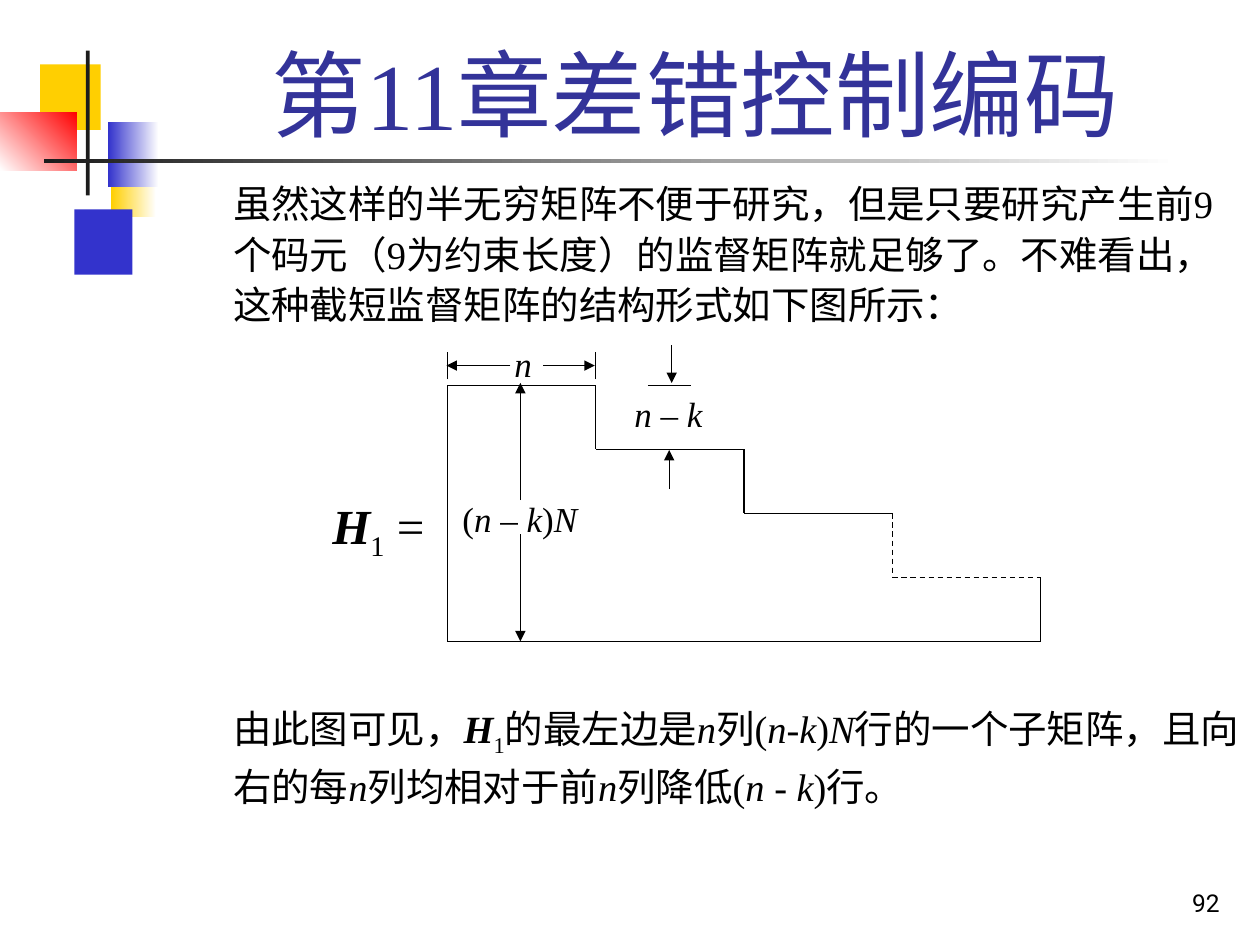
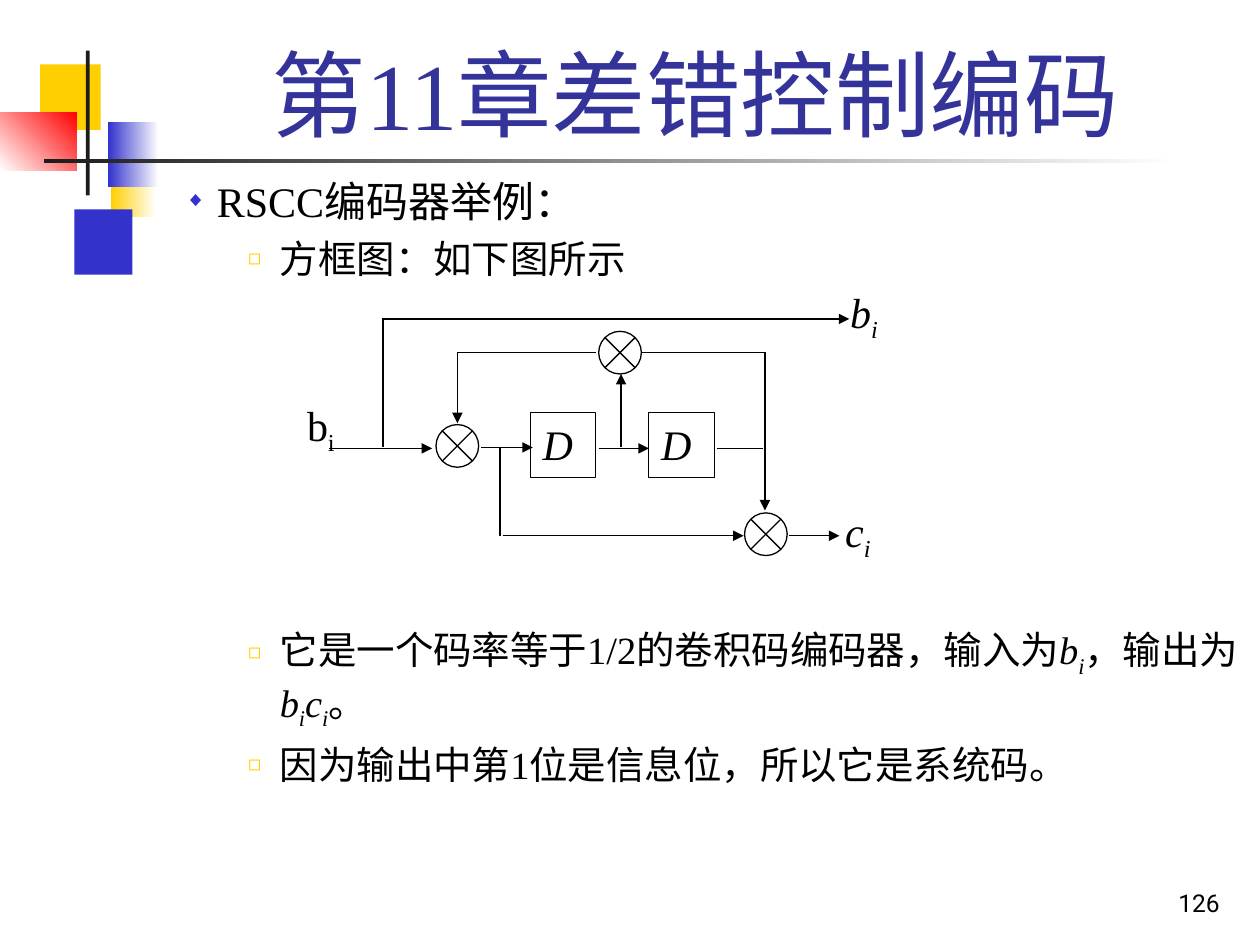
from dataclasses import dataclass

from lxml import etree
from pptx import Presentation
from pptx import util as u
from pptx.dml.color import RGBColor
from pptx.enum import dml, shapes, text
from pptx.oxml import ns


@dataclass(frozen=True)
class Theme:
    serif: str = "Times New Roman"
    sans: str = "Roboto"
    ink: str = "000000"
    white: str = "FFFFFF"
    title: str = "333399"
    blue: str = "3333CC"
    gold: str = "FFCF01"
    red: str = "FF0000"
    dark: str = "1C1C1C"
    title_size: int = 54
    formula_size: int = 28
    head_size: int = 24
    body_size: int = 22
    label_size: int = 20
    number_size: int = 14
    line_width: float = 0.75


THEME = Theme()
TITLE = "第11章差错控制编码"
TITLE_FRAME = (3.2, 0.58, 21.64, 2.57)
NUMBER_FRAME = (19.56, 17.35, 5.28, 1.27)

DECORATION = [
    ((2.24, 3.05, 0.91, 1.32), (THEME.white, THEME.gold, 180)),
    ((1.5, 4.22, 1.17, 1.32), THEME.blue),
    ((0.81, 1.3, 1.22, 1.32), THEME.gold),
    ((2.18, 2.46, 1.02, 1.32), (THEME.white, THEME.blue, 180)),
    ((0, 2.26, 1.55, 1.17), (THEME.red, THEME.white, 225)),
    ((1.73, 1.02, 0.08, 2.92), THEME.dark),
    ((0.89, 3.2, 22.86, 0.08), (THEME.white, THEME.dark, 180)),
]

LEVELS = {
    "plain": dict(level=2, margin=4.45, hang=0, size=THEME.body_size, spacing=1.1),
    "head": dict(level=1, margin=3.18, hang=0.64, size=THEME.head_size, spacing=1,
                 bullet=("◆", THEME.blue, 50)),
    "item": dict(level=2, margin=4.45, hang=0.64, size=THEME.body_size, spacing=1,
                 bullet=("◻", THEME.gold, 55)),
}

MATRIX_BODY = [
    ("plain", 0, [("虽然这样的半无穷矩阵不便于研究，但是只要研究产生前9个码元（9为约束长度）的监督矩阵"
                   "就足够了。不难看出，这种截短监督矩阵的结构形式如下图所示：", "")]),
    ("plain", 213, [("由此图可见，", ""), ("H", "bi"), ("1", "s"), ("的最左边是", ""), ("n", "i"),
                    ("列(", ""), ("n", "i"), ("-", ""), ("k", "i"), (")", ""), ("N", "i"),
                    ("行的一个子矩阵，且向右的每", ""), ("n", "i"), ("列均相对于前", ""), ("n", "i"),
                    ("列降低(", ""), ("n", "i"), (" - ", ""), ("k", "i"), (")行。", "")]),
]
STAIRS = dict(left=9.02, top=7.77, tread=2.99, riser=1.29, count=4)
DASHED = {("riser", 2), ("tread", 3)}
MATRIX_LINES = [
    ((9.02, 7.77, 9.02, 12.93), ""),
    ((20.98, 12.93, 9.02, 12.93), ""),
    ((9.02, 7.65, 9.02, 7.09), ""),
    ((12.01, 7.65, 12.01, 7.09), ""),
    ((10.95, 7.37, 11.99, 7.37), "arrow"),
    ((10.29, 7.37, 9, 7.37), "arrow"),
    ((13.06, 7.77, 13.92, 7.77), ""),
    ((13.49, 9.86, 13.49, 9.07), "arrow"),
    ((13.54, 6.96, 13.54, 7.72), "arrow"),
    ((10.49, 10.77, 10.49, 12.93), "arrow"),
    ((10.49, 10.08, 10.49, 7.72), "arrow"),
]
FORMULA = ((6.45, 9.86, 2.67, 1.17), [("H", "bi"), ("1", "s"), (" =", "")])
MATRIX_LABELS = [
    ((10.01, 6.91, 1.07, 0.79), [("n", "i")]),
    ((12.42, 7.92, 2.11, 0.89), [("n ", "i"), ("– ", ""), ("k", "i")]),
    ((9.12, 10.03, 2.72, 0.89),
     [("(", ""), ("n ", "i"), ("– ", ""), ("k", "i"), (")", ""), ("N", "i")]),
]

ENCODER_BODY = [
    ("head", 0, [("RSCC编码器举例：", "")]),
    ("item", 5.5, [("方框图：如下图所示", "")]),
    ("item", 197, [("它是一个码率等于1/2的卷积码编码器，输入为", ""), ("b", "i"), ("i", "is"),
                   ("，输出为", ""), ("b", "i"), ("i", "is"), ("c", "i"), ("i", "is"), ("。", "")]),
    ("item", 5.5, [("因为输出中第1位是信息位，所以它是系统码。", "")]),
]
DELAY_SIDE, ADDER_SIDE = 1.32, 0.86
DELAYS = [(10.69, 8.31), (13.08, 8.31)]
ADDERS = [(8.79, 8.56), (12.07, 6.68), (15.01, 10.34)]
ENCODER_LINES = [
    ((12.07, 9.04, 13.08, 9.04), "arrow"),
    ((9.7, 9.02, 10.74, 9.02), "arrow"),
    ((6.63, 9.04, 8.71, 9.04), "arrow"),
    ((12.52, 9.02, 12.52, 7.54), "arrow"),
    ((12.01, 7.11, 9.22, 7.11), ""),
    ((9.22, 7.11, 9.22, 8.53), "arrow"),
    ((7.72, 9.02, 7.72, 6.43), ""),
    ((7.7, 6.43, 17.12, 6.43), "arrow"),
    ((14.45, 9.04, 15.39, 9.04), ""),
    ((12.93, 7.11, 15.44, 7.11), ""),
    ((15.42, 7.11, 15.42, 10.29), "arrow"),
    ((10.08, 9.02, 10.08, 10.8), ""),
    ((10.13, 10.8, 14.99, 10.8), "arrow"),
    ((15.9, 10.8, 16.92, 10.8), "arrow"),
]
ENCODER_LABELS = [
    ((5.94, 7.92, 1.45, 1.47), [("b", ""), ("i", "s")]),
    ((16.89, 5.64, 1.45, 1.47), [("b", "i"), ("i", "is")]),
    ((16.79, 10.06, 1.45, 1.47), [("c", "i"), ("i", "is")]),
]


def color(code):
    return RGBColor.from_string(code)


def frame(values):
    return [u.Cm(value) for value in values]


def place(shape, values):
    shape.left, shape.top, shape.width, shape.height = frame(values)


def add_element(parent, tag, **attributes):
    return etree.SubElement(parent, ns.qn(tag), attributes)


def write(para, runs, size, font=THEME.serif, ink=THEME.ink, align=text.PP_ALIGN.LEFT):
    para.alignment = align
    para.font.name, para.font.size = font, u.Pt(size)
    para.font.color.rgb = color(ink)
    for words, style in runs:
        span = para.add_run()
        span.text = words
        if "b" in style:
            span.font.bold = True
        if "i" in style:
            span.font.italic = True
        if "s" in style:
            span._r.get_or_add_rPr().set("baseline", "-25000")


def set_frame(text_frame, anchor=text.MSO_ANCHOR.TOP, inset=True):
    text_frame.word_wrap = True
    text_frame.auto_size = text.MSO_AUTO_SIZE.NONE
    text_frame.vertical_anchor = anchor
    side, edge = (u.Cm(0.25), u.Cm(0.13)) if inset else (0, 0)
    text_frame.margin_left = text_frame.margin_right = side
    text_frame.margin_top = text_frame.margin_bottom = edge


def add_label(page, values, runs, size, inset=True, anchor=text.MSO_ANCHOR.TOP, **look):
    box = page.shapes.add_textbox(*frame(values))
    set_frame(box.text_frame, anchor, inset)
    write(box.text_frame.paragraphs[0], runs, size, **look)


def add_block(page, kind, values, fill, outline=None):
    block = page.shapes.add_shape(kind, *frame(values))
    block.shadow.inherit = False
    if isinstance(fill, tuple):
        *ends, angle = fill
        block.fill.gradient()
        block.fill.gradient_angle = angle
        for stop, code in zip(block.fill.gradient_stops, ends):
            stop.color.rgb = color(code)
    else:
        block.fill.solid()
        block.fill.fore_color.rgb = color(fill)
    if outline:
        block.line.color.rgb = color(outline)
        block.line.width = u.Pt(THEME.line_width)
    else:
        block.line.fill.background()
    return block


def add_line(page, ends, style=""):
    line = page.shapes.add_connector(shapes.MSO_CONNECTOR.STRAIGHT, *frame(ends))
    line.line.color.rgb = color(THEME.ink)
    line.line.width = u.Pt(THEME.line_width)
    if style == "dash":
        line.line.dash_style = dml.MSO_LINE.DASH
    if style == "arrow":
        add_element(line.line._get_or_add_ln(), "a:tailEnd", type="triangle")
    add_element(line.element.spPr, "a:effectLst")


def fill_body(body, paragraphs):
    set_frame(body.text_frame)
    for index, (name, before, runs) in enumerate(paragraphs):
        look = LEVELS[name]
        para = body.text_frame.add_paragraph() if index else body.text_frame.paragraphs[0]
        para.level = look["level"]
        props = para._p.get_or_add_pPr()
        props.set("marL", str(u.Cm(look["margin"])))
        props.set("indent", str(-u.Cm(look["hang"])))
        if "bullet" in look:
            mark, tint, percent = look["bullet"]
            add_element(add_element(props, "a:buClr"), "a:srgbClr", val=tint)
            add_element(props, "a:buSzPct", val=str(percent * 1000))
            add_element(props, "a:buChar", char=mark)
        else:
            add_element(props, "a:buNone")
        para.space_before, para.space_after = u.Pt(before), u.Pt(0)
        para.line_spacing = look["spacing"]
        write(para, runs, look["size"])


def add_page(deck, number, body_frame, paragraphs):
    page = deck.slides.add_slide(deck.slide_layouts[1])
    for values, fill in DECORATION:
        add_block(page, shapes.MSO_SHAPE.RECTANGLE, values, fill)
    title, body = page.shapes.title, page.placeholders[1]
    place(title, TITLE_FRAME)
    set_frame(title.text_frame, text.MSO_ANCHOR.BOTTOM)
    write(title.text_frame.paragraphs[0], [(TITLE, "")], THEME.title_size,
          ink=THEME.title, align=text.PP_ALIGN.CENTER)
    place(body, body_frame)
    fill_body(body, paragraphs)
    add_label(page, NUMBER_FRAME, [(str(number), "")], THEME.number_size,
              anchor=text.MSO_ANCHOR.BOTTOM, font=THEME.sans, align=text.PP_ALIGN.RIGHT)
    return page


def draw_matrix(page):
    for step in range(STAIRS["count"]):
        x = STAIRS["left"] + step * STAIRS["tread"]
        y = STAIRS["top"] + step * STAIRS["riser"]
        right, low = x + STAIRS["tread"], y + STAIRS["riser"]
        for part, ends in (("tread", (x, y, right, y)), ("riser", (right, y, right, low))):
            add_line(page, ends, "dash" if (part, step) in DASHED else "")
    for ends, style in MATRIX_LINES:
        add_line(page, ends, style)
    add_label(page, *FORMULA, THEME.formula_size)
    for values, runs in MATRIX_LABELS:
        add_label(page, values, runs, THEME.label_size, inset=False, align=text.PP_ALIGN.CENTER)


def draw_encoder(page):
    for corner in DELAYS:
        delay = add_block(page, shapes.MSO_SHAPE.RECTANGLE, (*corner, DELAY_SIDE, DELAY_SIDE),
                          THEME.white, THEME.ink)
        set_frame(delay.text_frame)
        write(delay.text_frame.paragraphs[0], [("D", "i")], THEME.head_size)
    for corner in ADDERS:
        add_block(page, shapes.MSO_SHAPE.FLOWCHART_SUMMING_JUNCTION,
                  (*corner, ADDER_SIDE, ADDER_SIDE), THEME.white, THEME.ink)
    for ends, style in ENCODER_LINES:
        add_line(page, ends, style)
    for values, runs in ENCODER_LABELS:
        add_label(page, values, runs, THEME.head_size)


def main():
    deck = Presentation()
    deck.slide_width, deck.slide_height = u.Cm(25.4), u.Cm(19.05)
    draw_matrix(add_page(deck, 92, (0, 3.4, 25.4, 15.65), MATRIX_BODY))
    draw_encoder(add_page(deck, 126, (0.94, 3.4, 24.46, 15.65), ENCODER_BODY))
    deck.save("out.pptx")


if __name__ == "__main__":
    main()
